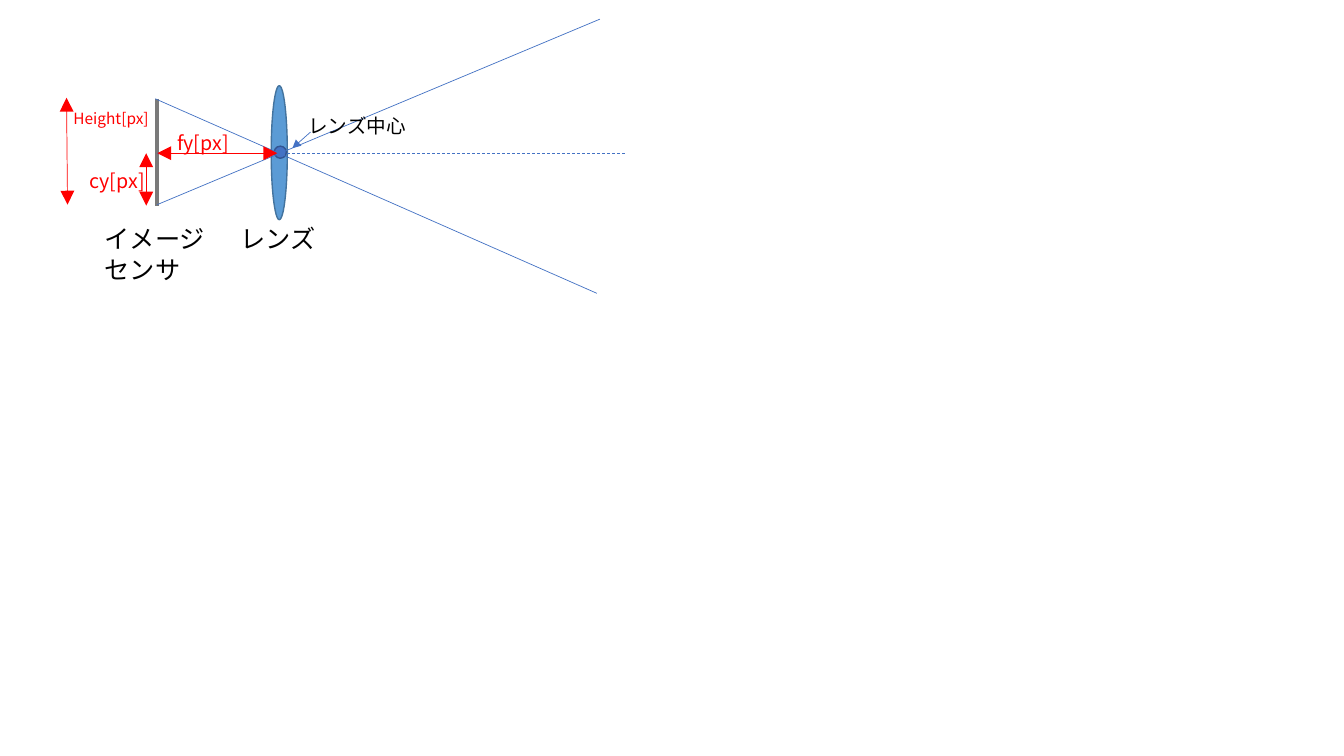
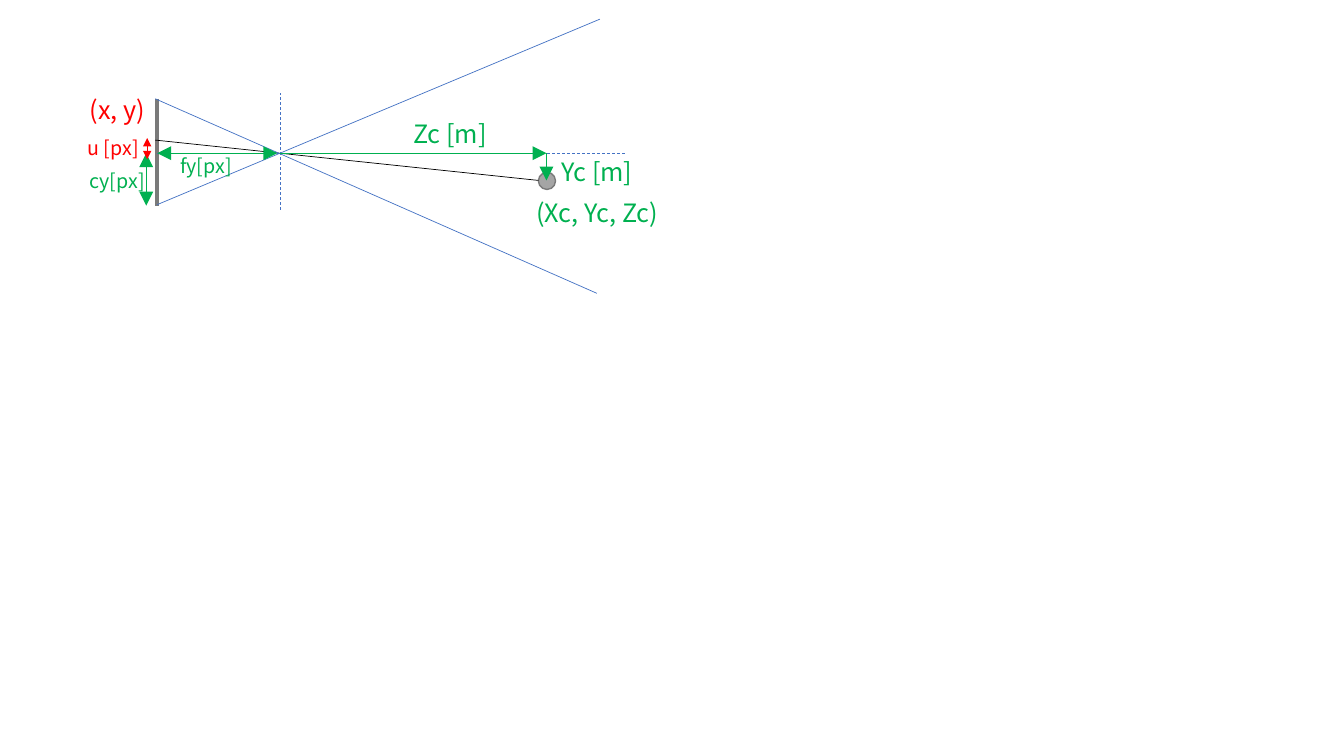
from lxml import etree
from pptx import Presentation
from pptx.dml.color import RGBColor
from pptx.enum.dml import MSO_LINE
from pptx.enum.shapes import MSO_CONNECTOR, MSO_SHAPE
from pptx.oxml.ns import qn
from pptx.util import Inches, Pt

DASH = MSO_LINE.DASH
LINE = MSO_CONNECTOR.STRAIGHT
OVAL = MSO_SHAPE.OVAL

RED = RGBColor(0xFF, 0x00, 0x00)
GREEN = RGBColor(0x00, 0xB0, 0x50)
BLUE = RGBColor(0x44, 0x72, 0xC4)
NAVY = RGBColor(0x32, 0x54, 0x91)
SKY = RGBColor(0x5B, 0x9B, 0xD5)
STEEL = RGBColor(0x43, 0x73, 0x9E)
GREY = RGBColor(0x7A, 0x7A, 0x7A)
SILVER = RGBColor(0xA5, 0xA5, 0xA5)
BLACK = RGBColor(0x00, 0x00, 0x00)

FONT = "Noto Sans CJK JP"
BLANK = 6

# Shared geometry of the camera
SENSOR = 1.56
AXIS = 1.52
TOP, BASE = 0.98, 2.04
FOCUS = 2.78
POINT = 5.42


def apply(item, values):
    for name, value in values.items():
        setattr(item, name, value)


def line(slide, start, end, color, width=0.5, dash=None, ends=(), size="lg"):
    """Straight line; ends lists the arrowheads: "head", "tail" or both."""
    link = slide.shapes.add_connector(
        LINE, *[Inches(v) for v in (*start, *end)])
    link.line.color.rgb = color
    apply(link.line, {"width": Pt(width), "dash_style": dash})
    stroke = link.line._get_or_add_ln()
    for end_name in ends:
        tip = etree.SubElement(stroke, qn(f"a:{end_name}End"))
        for key, value in {"type": "triangle", "w": size, "len": size}.items():
            tip.set(key, value)
    etree.SubElement(stroke.getparent(), qn("a:effectLst"))


def span(slide, start, end, color, size="lg"):
    """Dimension line with an arrowhead at both ends."""
    line(slide, start, end, color, ends=("head", "tail"), size=size)


def oval(slide, box, fill, edge):
    shape = slide.shapes.add_shape(OVAL, *[Inches(v) for v in box])
    shape.shadow.inherit = False
    shape.fill.solid()
    shape.fill.fore_color.rgb = fill
    shape.line.color.rgb = edge
    shape.line.width = Pt(1)


def label(slide, box, text, color=BLACK, size=18):
    frame = slide.shapes.add_textbox(*[Inches(v) for v in box]).text_frame
    frame.word_wrap = False
    frame.text = text
    for para in frame.paragraphs:
        for run in para.runs:
            apply(run.font, {"name": FONT, "size": Pt(size)})
            run.font.color.rgb = color
            east = etree.SubElement(run.font._element, qn("a:ea"))
            east.set("typeface", FONT)


def sensor(slide):
    line(slide, (SENSOR, TOP), (SENSOR, BASE), GREY, width=3)


def optics(slide, color, fy_at):
    """Field of view, optical axis and the fy and cy dimensions."""
    line(slide, (1.54, TOP), (5.92, 2.91), BLUE)
    line(slide, (SENSOR, 2.03), (5.95, 0.19), BLUE)
    line(slide, (SENSOR, AXIS), (6.21, AXIS), BLUE, dash=DASH)
    span(slide, (SENSOR, AXIS), (2.75, AXIS), color)
    span(slide, (1.45, BASE), (1.45, AXIS), color)
    label(slide, (*fy_at, 0.73, 0.34), "fy[px]", color, 14)
    label(slide, (0.79, 1.63, 0.76, 0.34), "cy[px]", color, 14)


def lens_slide(slide):
    # Lens and sensor
    oval(slide, (2.69, 0.85, 0.16, 1.33), SKY, STEEL)
    sensor(slide)
    label(slide, (0.94, 2.17, 1.21, 0.71), "イメージ\nセンサ")
    label(slide, (2.29, 2.17, 0.96, 0.4), "レンズ")
    oval(slide, (2.72, 1.45, 0.12, 0.12), BLUE, NAVY)
    optics(slide, RED, (1.66, 1.25))
    # Lens centre
    label(slide, (2.96, 1.08, 1.18, 0.34), "レンズ中心", size=14)
    line(slide, (3.08, 1.31), (2.9, 1.47), BLUE, ends=["tail"], size="med")
    # Sensor height
    span(slide, (0.67, 2.03), (0.66, 0.97), RED)
    label(slide, (0.63, 1.03, 0.96, 0.29), "Height[px]", RED, 11)


def point_slide(slide):
    # Object point and its ray to the sensor
    sensor(slide)
    oval(slide, (5.34, 1.71, 0.17, 0.17), SILVER, GREY)
    line(slide, (1.54, 1.39), (5.34, 1.79), BLACK)
    optics(slide, GREEN, (1.69, 1.48))
    line(slide, (FOCUS, 2.08), (FOCUS, 0.92), BLUE, dash=DASH)
    # World coordinates
    line(slide, (POINT, 1.79), (POINT, AXIS), GREEN, ends=["head"])
    line(slide, (FOCUS, AXIS), (POINT, AXIS), GREEN, ends=["tail"])
    label(slide, (5.22, 1.91, 1.54, 0.4), "(Xc, Yc, Zc)", GREEN)
    label(slide, (5.47, 1.5, 0.98, 0.4), "Yc [m]", GREEN)
    label(slide, (4, 1.12, 0.97, 0.4), "Zc [m]", GREEN)
    # Sensor coordinates
    label(slide, (0.79, 0.89, 0.78, 0.4), "(x, y)", RED)
    span(slide, (1.46, 1.58), (1.46, 1.37), RED, size="med")
    label(slide, (0.77, 1.3, 0.73, 0.34), "u [px]", RED, 14)


def main():
    deck = Presentation()
    apply(deck, {"slide_width": Inches(13.33), "slide_height": Inches(7.5)})
    for build in (lens_slide, point_slide):
        build(deck.slides.add_slide(deck.slide_layouts[BLANK]))
    deck.save("out.pptx")


main()
